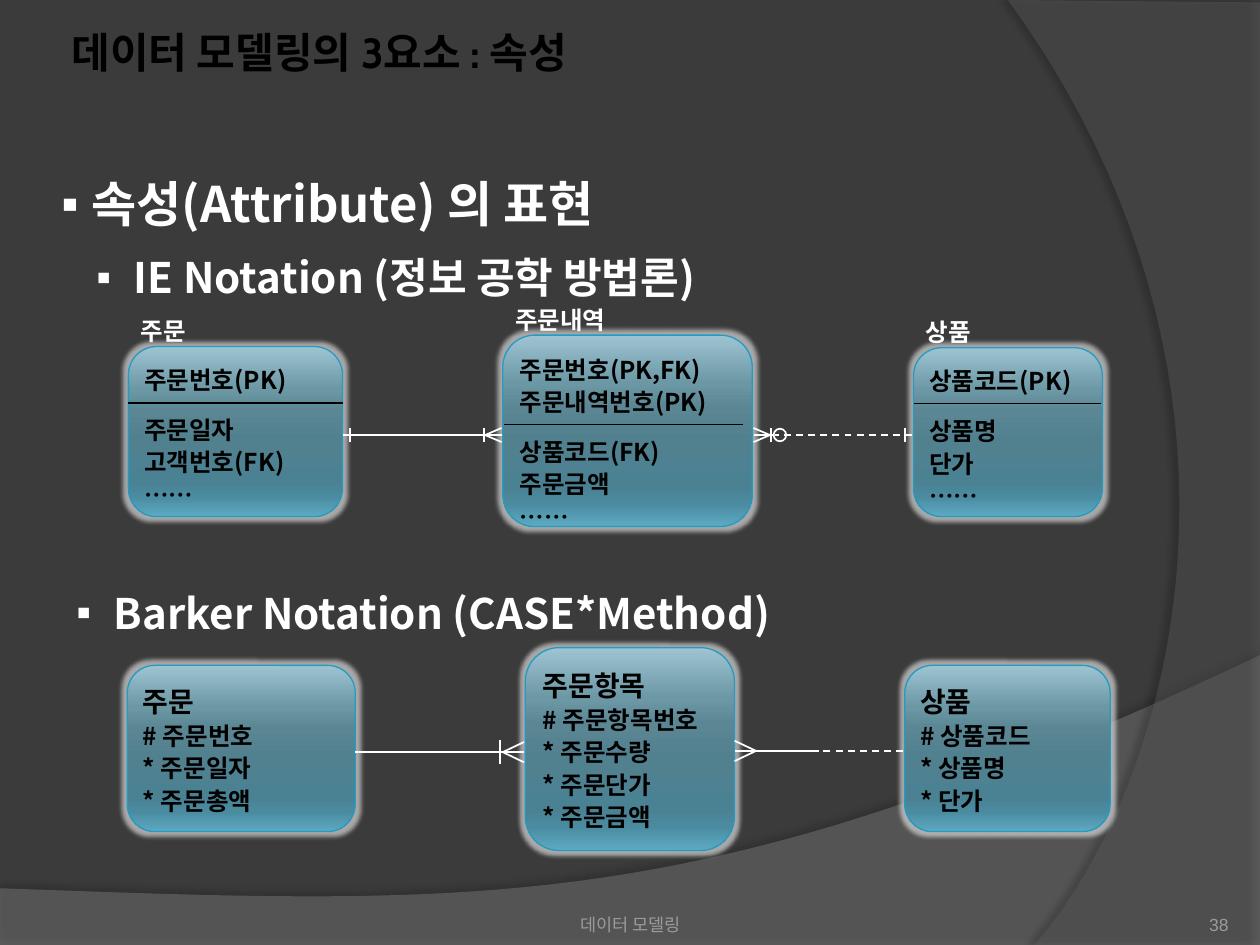
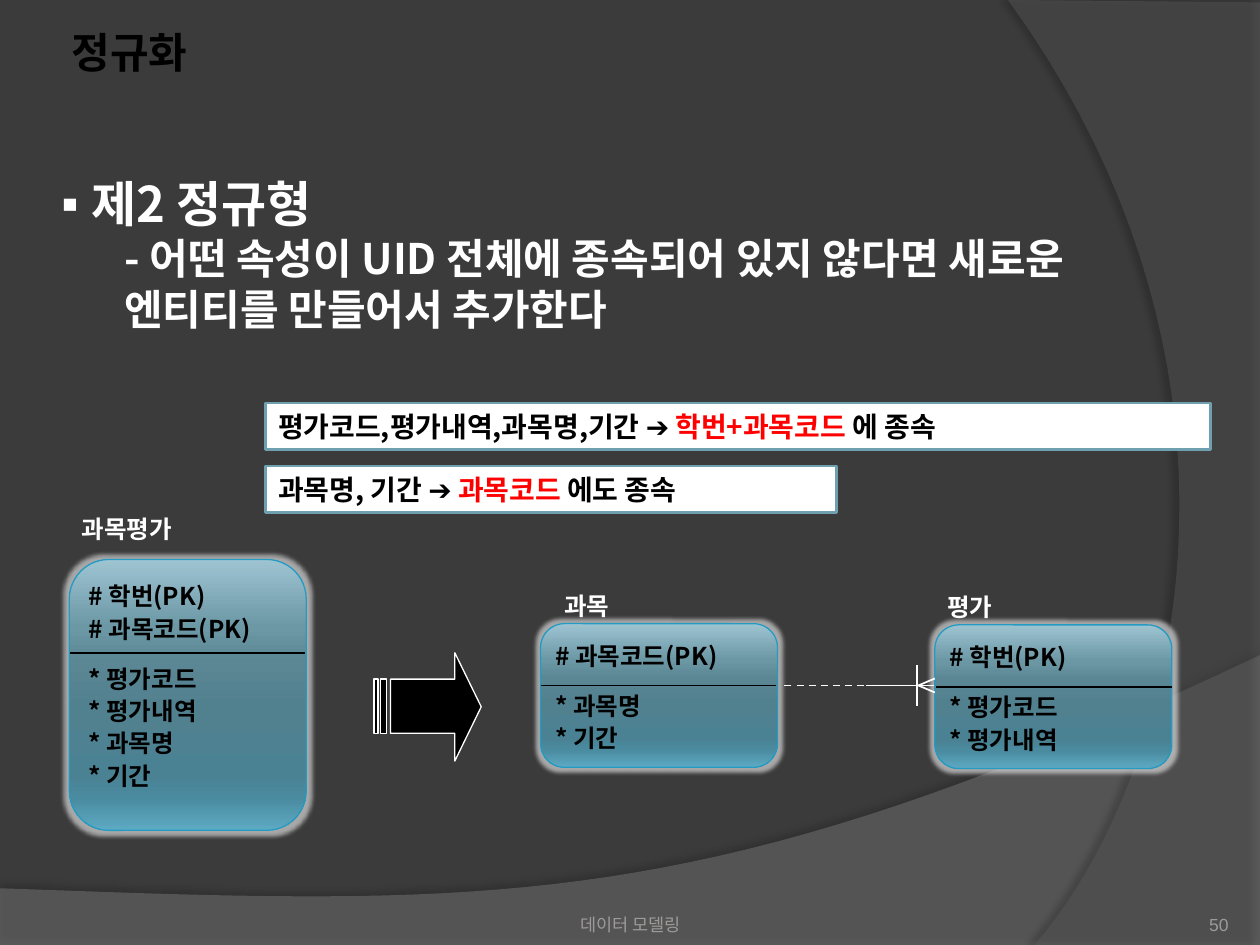
from lxml import etree
from pptx import Presentation
from pptx.dml.color import RGBColor
from pptx.enum.dml import MSO_LINE
from pptx.enum.shapes import MSO_CONNECTOR, MSO_SHAPE
from pptx.enum.text import MSO_ANCHOR, PP_ALIGN
from pptx.oxml.ns import qn
from pptx.util import Pt

STRAIGHT = MSO_CONNECTOR.STRAIGHT
DASH = MSO_LINE.DASH
BOX, ROUND, ALT, OVAL = (MSO_SHAPE.RECTANGLE, MSO_SHAPE.ROUNDED_RECTANGLE,
                         MSO_SHAPE.FLOWCHART_ALTERNATE_PROCESS, MSO_SHAPE.OVAL)
LEFT, CENTER, RIGHT = PP_ALIGN.LEFT, PP_ALIGN.CENTER, PP_ALIGN.RIGHT
TOP, BOTTOM = MSO_ANCHOR.TOP, MSO_ANCHOR.BOTTOM

BACK = RGBColor(0x3B, 0x3B, 0x3B)
WAVE = RGBColor(0x7F, 0x7F, 0x7F)
ARC = RGBColor(0x5E, 0x5E, 0x5E)
MUTED = RGBColor(0x9D, 0x9B, 0x9A)
BLACK = RGBColor(0, 0, 0)
WHITE = RGBColor(0xFF, 0xFF, 0xFF)
RED = RGBColor(0xFF, 0, 0)
EDGE = RGBColor(0x23, 0x9B, 0xC2)
NOTE_EDGE = RGBColor(0x6E, 0xA0, 0xB0)
GLOW = "D8D8D8"
ENTITY_STOPS = [(0, "9EC4D2"), (25, "6C97A5"), (38, "5B8694"), (55, "51808F"),
                (80, "4A8294"), (88, "4A8BA0"), (100, "5DAAC2")]
KOREAN = "Noto Sans CJK KR"

# Content: all lengths in points
FOOTER = "데이터 모델링"
ATTRIBUTE = {
    "title": "데이터 모델링의 3요소 : 속성", "number": "38",
    # top, left, paragraphs (text, level, bullet)
    "outline": [(28, 95.8, [(" 속성(Attribute) 의 표현", 0, "▪")]),
                (28, 140.4, [(" IE Notation (정보 공학 방법론)", 1, "▪")]),
                (16.6, 331.9, [(" Barker Notation (CASE*Method)", 1, "▪")])],
    # name, box, label offset, rule (left, right, y), keys, attributes
    "entities": [
        ("주문", (73.4, 198, 122.4, 97.2), (0, -17.3), (73.4, 195.8, 230.4),
         ["주문번호(PK)"], ["주문일자", "고객번호(FK)", "……"]),
        ("주문내역", (287.3, 191.5, 142.6, 109.4), (0, -17.3), (288, 424.8, 242.6),
         ["주문번호(PK,FK)", "주문내역번호(PK)"], ["상품코드(FK)", "주문금액", "……"]),
        ("상품", (522, 198.7, 108, 96.5), (0, -17.3), (522, 629.3, 230.6),
         ["상품코드(PK)"], ["상품명", "단가", "……"])],
    "barker": [
        ("주문", (72.7, 380.2, 130.3, 95), ["# 주문번호", "* 주문일자", "* 주문총액"]),
        ("주문항목", (300.2, 370.1, 119.5, 115.9),
         ["# 주문항목번호", "* 주문수량", "* 주문단가", "* 주문금액"]),
        ("상품", (517, 380.2, 117.4, 95), ["# 상품코드", "* 상품명", "* 단가"])],
    # left, right, y, dashed
    "links": [(195.8, 286.6, 248.6, False), (430.6, 442.1, 248.6, False),
              (442.8, 521.3, 248.6, True), (203, 299.5, 429.8, False),
              (419.8, 468, 429.1, False), (468, 516.2, 429.1, True)],
    # edge x, y, direction, depth, half height, bar (distance, half height, width)
    "feet": [(286.6, 248.6, -1, 9.4, 4, (10.1, 4, 1)),
             (430.6, 248.6, 1, 9.4, 4, (10.1, 4, 1)),
             (299.5, 429.8, -1, 12.2, 5.8, (13.7, 6.8, 1)),
             (419.8, 429.1, 1, 12.2, 5.8, None)],
    "ones": [(200.2, 248.6), (517, 248.6)],
    "zeros": [(445.7, 248.6)],
}
NORMAL_FORM = {
    "title": "정규화", "number": "50",
    "outline": [(28, 95.8, [
        (" 제2 정규형", 0, "▪"),
        ("- 어떤 속성이 UID 전체에 종속되어 있지 않다면 새로운 엔티티를 만들어서 추가한다", 1, None)])],
    "entities": [
        ("과목평가", (39.6, 319.7, 135.4, 154.8), (0, -26), (40.3, 174.2, 373),
         ["# 학번(PK)", "# 과목코드(PK)"], ["* 평가코드", "* 평가내역", "* 과목명", "* 기간"]),
        ("과목", (308.9, 356.4, 135.4, 82.1), (6.5, -18.7), (308.9, 443.5, 391.7),
         ["# 과목코드(PK)"], ["* 과목명", "* 기간"]),
        ("평가", (534.2, 357.1, 135.4, 82.1), (0, -18.7), (535, 669.6, 392.4),
         ["# 학번(PK)"], ["* 평가코드", "* 평가내역"])],
    "links": [(446.4, 493.9, 391.7, True), (494.6, 533.5, 391.7, False)],
    "feet": [(534.2, 391.7, -1, 9.4, 4, (10.1, 11.5, 1.25))],
    # box, coloured pieces of text
    "notes": [
        ((151.9, 230.4, 540, 26.6), [("평가코드,평가내역,과목명,기간 ➔", BLACK),
                                     (" 학번+과목코드 ", RED), ("에 종속", BLACK)]),
        ((151.9, 266.4, 326.2, 26.6), [("과목명, 기간 ➔ ", BLACK),
                                       ("과목코드 ", RED), ("에도 종속", BLACK)])],
    "arrow": [
        [(259.9, 373), (259.9, 388.1), (223.2, 388.1), (223.2, 419),
         (259.9, 419), (259.9, 434.9), (275, 403.9)],
        [(217.4, 388.1), (217.4, 419), (221, 419), (221, 388.1)],
        [(213.8, 388.1), (213.8, 419), (216, 419), (216, 388.1)]],
}


def pts(*values):
    return [Pt(v) for v in values]


def add_para(tf, text, size=14, color=BLACK, bold=True, font=KOREAN, align=LEFT,
             before=0, spacing=None, margin=0, hang=0, bullet=None):
    """Fill the empty first paragraph or append one; text may be (text, colour) pieces."""
    p = tf.paragraphs[0]
    if p.runs:
        p = tf.add_paragraph()
    p.alignment, p.space_before = align, Pt(before)
    if spacing:
        p.line_spacing = spacing
    ppr = p._p.get_or_add_pPr()
    ppr.set("marL", str(Pt(margin)))
    ppr.set("indent", str(Pt(-hang)))
    if bullet:
        etree.SubElement(ppr, qn("a:buFont"), typeface="Arial")
        etree.SubElement(ppr, qn("a:buChar"), char=bullet)
    for piece, ink in [(text, color)] if isinstance(text, str) else text:
        r = p.add_run()
        r.text = piece
        r.font.size, r.font.bold, r.font.name = Pt(size), bold, font
        r.font.color.rgb = ink
        etree.SubElement(r._r.get_or_add_rPr(), qn("a:ea"), typeface=KOREAN)


def set_frame(sp, insets=(7.2, 3.6, 7.2, 3.6), anchor=TOP):
    tf = sp.text_frame
    tf.word_wrap, tf.vertical_anchor = True, anchor
    tf.margin_left, tf.margin_top, tf.margin_right, tf.margin_bottom = pts(*insets)
    return tf


def add_box(s, box, **frame):
    return set_frame(s.shapes.add_textbox(*pts(*box)), **frame)


def add_effect(sp, kind, color, alpha, **attrs):
    sp.shadow.inherit = False
    lst = sp._element.spPr.find(qn("a:effectLst"))
    effect = etree.SubElement(lst, qn("a:" + kind), {k: str(v) for k, v in attrs.items()})
    clr = etree.SubElement(effect, qn("a:srgbClr"), val=color)
    etree.SubElement(clr, qn("a:alpha"), val=str(alpha * 1000))


def paint(sp, fill=None, line=None, width=1):
    sp.shadow.inherit = False
    if fill is None:
        sp.fill.background()
    else:
        sp.fill.solid()
        sp.fill.fore_color.rgb = fill
    if line is None:
        sp.line.fill.background()
    else:
        sp.line.color.rgb, sp.line.width = line, Pt(width)


def add_line(s, x1, y1, x2, y2, color=WHITE, width=1, dashed=False):
    ln = s.shapes.add_connector(STRAIGHT, *pts(x1, y1, x2, y2))
    ln.line.color.rgb, ln.line.width = color, Pt(width)
    if dashed:
        ln.line.dash_style = DASH
    etree.SubElement(ln._element.spPr, qn("a:effectLst"))


def add_outline(s, contours):
    builder = None
    for first, *rest in contours:
        if builder is None:
            builder = s.shapes.build_freeform(*pts(*first))
        else:
            builder.move_to(*pts(*first))
        builder.add_line_segments([pts(*pt) for pt in rest], close=True)
    return builder.convert_to_shape()


def bezier(a, b, c, d, steps=40):
    for i in range(1, steps + 1):
        t = i / steps
        u = 1 - t
        yield tuple(u**3 * p + 3 * u * u * t * q + 3 * u * t * t * m + t**3 * n
                    for p, q, m, n in zip(a, b, c, d))


def add_backdrop(s):
    s.background.fill.solid()
    s.background.fill.fore_color.rgb = BACK
    wave = [(0, 507.6), (0, 540), (720, 540), (720, 374.4)]
    wave += bezier(wave[-1], (402.5, 524.9), (281.5, 517.7), (0, 507.6))
    arc = [(720, 1.4), (720, 540), (591.1, 540)]
    arc += bezier(arc[-1], (673.2, 445.7), (733, 216), (576, 0))
    for outline, color, alpha, shade, dist, angle in [
            (wave, WAVE, 45, 35, 3.5, 270), (arc, ARC, 40, 45, 4, 180)]:
        sp = add_outline(s, [outline])
        paint(sp, color)
        clr = sp._element.spPr.find(qn("a:solidFill"))[0]
        etree.SubElement(clr, qn("a:alpha"), val=str(alpha * 1000))
        add_effect(sp, "outerShdw", "000000", shade, blurRad=Pt(4), dist=Pt(dist),
                   dir=angle * 60000, algn="ctr", rotWithShape=0)


def add_entity(s, kind, box):
    sp = s.shapes.add_shape(kind, *pts(*box))
    paint(sp, line=EDGE, width=0.75)
    sp.fill.gradient()
    sp.fill.gradient_angle = 270
    stops = sp._element.spPr.find(".//" + qn("a:gsLst"))
    for old in list(stops):
        stops.remove(old)
    for pos, color in ENTITY_STOPS:
        gs = etree.SubElement(stops, qn("a:gs"), pos=str(pos * 1000))
        etree.SubElement(gs, qn("a:srgbClr"), val=color)
    add_effect(sp, "glow", GLOW, 70, rad=Pt(5))
    return set_frame(sp, (4.3,) * 4)


def add_ruled_entity(s, name, box, offset, rule, keys, attributes):
    tf = add_entity(s, ALT, box)
    for text in keys:
        add_para(tf, text, spacing=1.1)
    for i, text in enumerate(attributes):
        add_para(tf, text, spacing=1.1, before=0 if i else 10)
    label = (box[0] + offset[0], box[1] + offset[1], box[2], 17.3)
    add_para(add_box(s, label, insets=(7.2, 0, 7.2, 0)), name, color=WHITE)
    left, right, y = rule
    add_line(s, left, y, right, y, BLACK)


def add_crow_foot(s, edge, y, way, depth, half, bar):
    tip = edge + way * depth
    for end in (y - half, y + half):
        add_line(s, tip, y, edge, end)
    if bar:
        distance, reach, width = bar
        x = edge + way * distance
        add_line(s, x, y - reach, x, y + reach, width=width)


def build_slide(prs, page):
    s = prs.slides.add_slide(prs.slide_layouts[6])
    add_backdrop(s)

    # Footer, number, title
    add_para(add_box(s, (246.2, 505.4, 228.2, 28.8), insets=(0, 3.6, 0, 0), anchor=BOTTOM),
             FOOTER, size=10, color=MUTED, bold=False, font="Arial", align=CENTER)
    add_para(add_box(s, (642.2, 505.4, 59.8, 28.8), insets=(0,) * 4, anchor=BOTTOM),
             page["number"], size=10, color=MUTED, bold=False, font="Arial", align=RIGHT)
    add_para(add_box(s, (33.8, 11.5, 643.7, 36)), page["title"], size=24, font="Cabin")

    # Bulleted headings
    for left, top, paras in page["outline"]:
        tf = add_box(s, (left, top, 669.6, 45 * len(paras)))
        for text, level, bullet in paras:
            add_para(tf, text, size=24 if level else 28, color=WHITE, bullet=bullet,
                     margin=36 if level else 11,
                     hang=(16 if level else 11) if bullet else 0)

    # Entities
    for entity in page["entities"]:
        add_ruled_entity(s, *entity)
    for name, box, attributes in page.get("barker", []):
        tf = add_entity(s, ROUND, box)
        add_para(tf, name, size=16, spacing=1.1)
        for text in attributes:
            add_para(tf, text, spacing=1.1)

    # Relationships
    for left, right, y, dashed in page["links"]:
        add_line(s, right, y, left, y, dashed=dashed)
    for foot in page["feet"]:
        add_crow_foot(s, *foot)
    for x, y in page.get("ones", []):
        add_line(s, x, y - 4, x, y + 4)
    for x, y in page.get("zeros", []):
        paint(s.shapes.add_shape(OVAL, *pts(x - 3.6, y - 3.6, 7.2, 7.2)), line=WHITE)

    # Dependency notes and arrow
    for box, pieces in page.get("notes", []):
        sp = s.shapes.add_shape(BOX, *pts(*box))
        paint(sp, WHITE, NOTE_EDGE, 1.5)
        add_para(set_frame(sp), pieces, size=16)
    if "arrow" in page:
        paint(add_outline(s, page["arrow"]), BLACK, WHITE, 0.75)


def main():
    prs = Presentation()
    prs.slide_width, prs.slide_height = pts(720, 540)
    for page in (ATTRIBUTE, NORMAL_FORM):
        build_slide(prs, page)
    prs.save("out.pptx")


if __name__ == "__main__":
    main()
